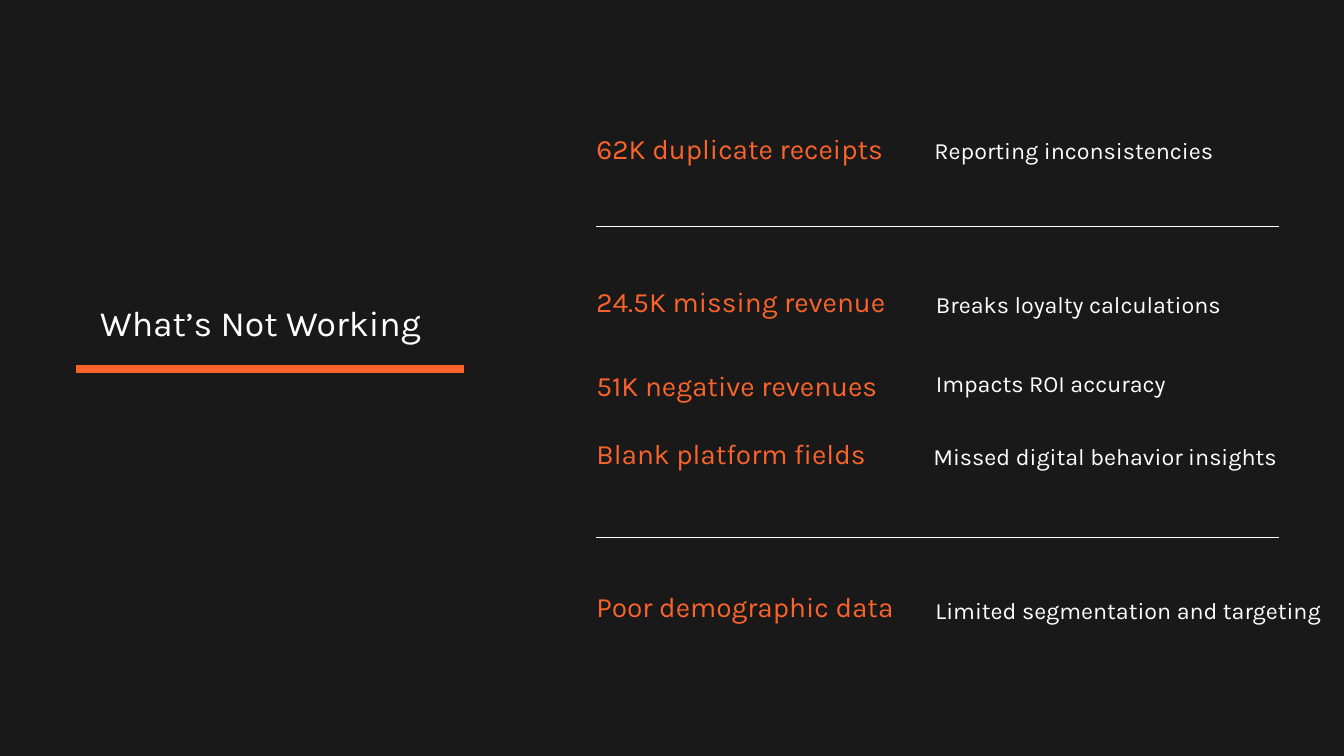
"""Build the "What's Not Working" slide of data issues and their effects."""
import pptx
import pptx.dml.color
import pptx.enum.shapes
import pptx.enum.text
import pptx.oxml.ns
import pptx.util
from lxml import etree

PX = 9525
COLOURS = {"ground": "191919", "accent": "FA632A", "text": "FFFFFF"}
ALIGN = pptx.enum.text.PP_ALIGN

ISSUE_LEFT, ISSUE_WIDTH = 852, 848
EFFECT_LEFT = 1333
RULE_RIGHT = 1827

ROWS = [
    ("62K duplicate receipts", 184, "Reporting inconsistencies", 191, 402),
    ("24.5K missing revenue", 402, "Breaks loyalty calculations", 411, 415),
    ("51K negative revenues", 522, "Impacts ROI accuracy", 524, 336),
    ("Blank platform fields", 620, "Missed digital behavior insights", 629, 491),
    ("Poor demographic data", 838, "Limited segmentation and targeting", 848, 557),
]


def colour(name):
    return pptx.dml.color.RGBColor.from_string(COLOURS[name])


def write(box, text, *, size, leading, ink="text", align=ALIGN.LEFT, font="Karla"):
    frame = box.text_frame
    frame.word_wrap = True
    frame.auto_size = pptx.enum.text.MSO_AUTO_SIZE.SHAPE_TO_FIT_TEXT
    frame.margin_left = frame.margin_top = frame.margin_right = frame.margin_bottom = 0
    para = frame.paragraphs[0]
    para.alignment = align
    para.line_spacing = pptx.util.Pt(leading)
    span = para.add_run()
    span.text = text
    span.font.name = font
    span.font.size = pptx.util.Pt(size)
    span.font.color.rgb = colour(ink)


class Painter:
    def __init__(self, page):
        self.page = page
        fill = page.background.fill
        fill.solid()
        fill.fore_color.rgb = colour("ground")

    def text(self, text, left, top, width, height, **style):
        box = self.page.shapes.add_textbox(left * PX, top * PX, width * PX, height * PX)
        write(box, text, **style)

    def rule(self, left, right, y, ink="text", weight=0.75):
        line = self.page.shapes.add_connector(
            pptx.enum.shapes.MSO_CONNECTOR.STRAIGHT, left * PX, y * PX, right * PX, y * PX)
        line.line.color.rgb = colour(ink)
        line.line.width = pptx.util.Pt(weight)
        etree.SubElement(line._element.spPr, pptx.oxml.ns.qn("a:effectLst"))

    def title(self, text):
        self.text(text, 143, 430, 479, 61, size=38, leading=45.6)
        self.rule(108, 663, 527, ink="accent", weight=8.25)

    def row(self, issue, issue_top, effect, effect_top, effect_width):
        self.text(issue, ISSUE_LEFT, issue_top, ISSUE_WIDTH, 53,
                  size=30, leading=39, ink="accent")
        self.text(effect, EFFECT_LEFT, effect_top, effect_width, 43,
                  size=25, leading=32.5, align=ALIGN.CENTER)


def main():
    deck = pptx.Presentation()
    deck.slide_width, deck.slide_height = 1920 * PX, 1080 * PX
    painter = Painter(deck.slides.add_slide(deck.slide_layouts[6]))
    painter.title("What’s Not Working")
    for row in ROWS:
        painter.row(*row)
    for y in (323, 768):
        painter.rule(ISSUE_LEFT, RULE_RIGHT, y)
    deck.save("out.pptx")


if __name__ == "__main__":
    main()
